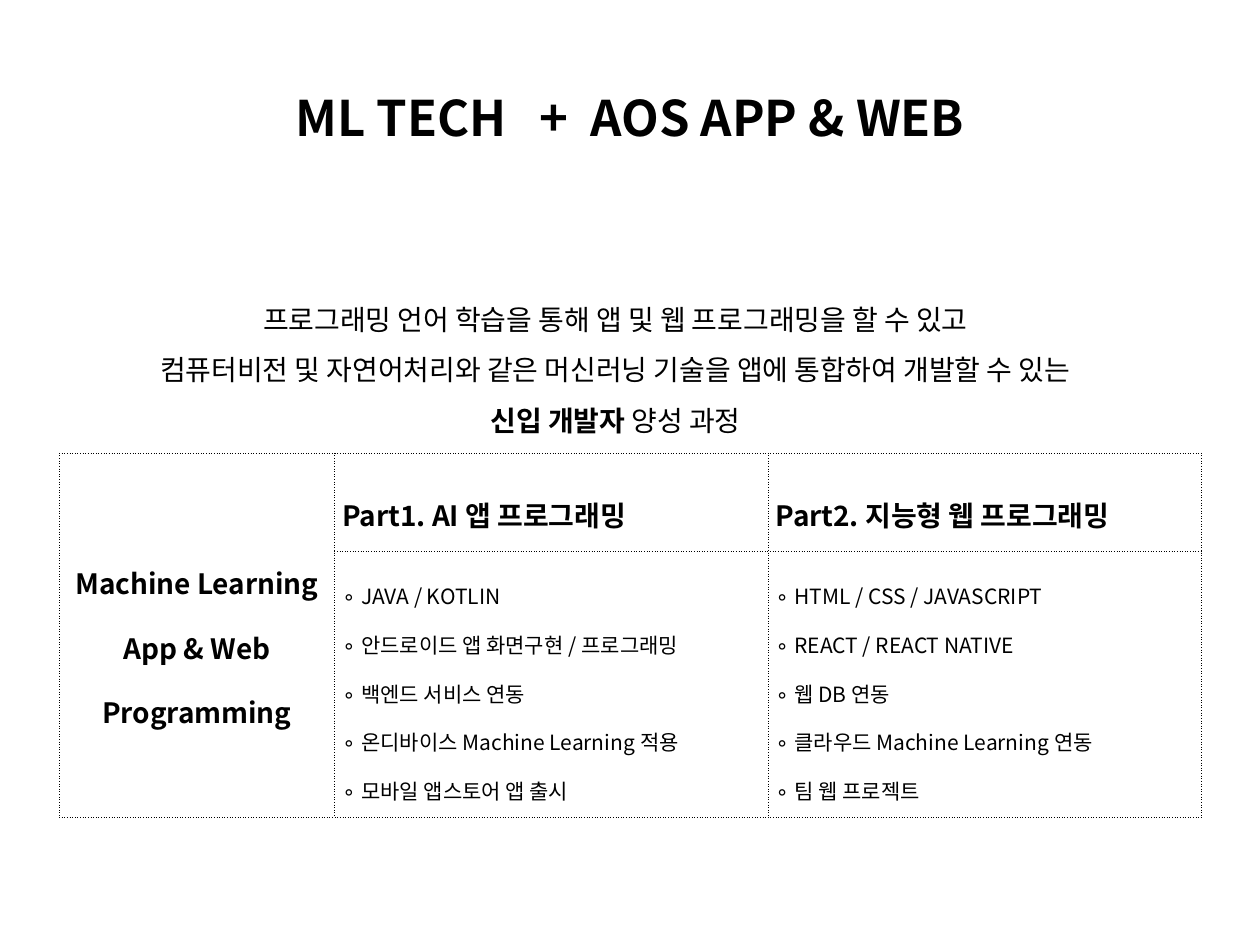
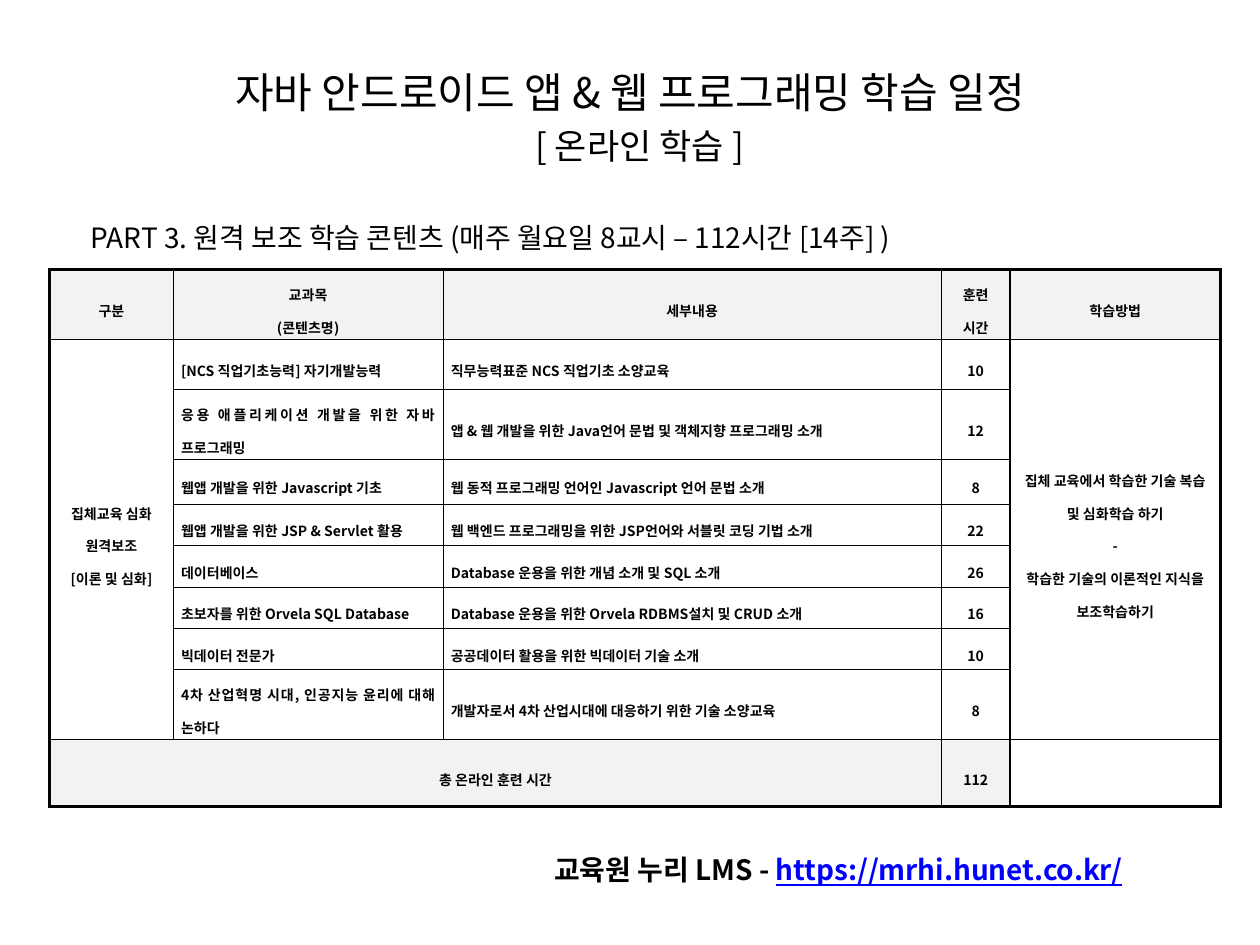
import pptx
import pptx.dml.color
import pptx.enum.text
import pptx.oxml.ns
import pptx.util
from lxml import etree

Pt = pptx.util.Pt
ALIGN = pptx.enum.text.PP_ALIGN
ANCHOR = pptx.enum.text.MSO_ANCHOR
qn = pptx.oxml.ns.qn

# Shared style
FONT = "Noto Sans CJK KR"
COLORS = {"text": "000000", "border": "000000", "shade": "F2F2F2", "link": "0000FF"}
THIN, THICK = 0.28, 1.7
TABLE_LINE_SPACING = 1.6
TITLE_BOX = (36, 21.6, 648, 90)

# Course overview
OVERVIEW_TITLE = [("ML TECH", {}), (" ", {"spacing": 12.5}), ("+", {}),
                  (" ", {"spacing": 6.3}), ("AOS APP & WEB", {})]
OVERVIEW_LINES = [
    "프로그래밍 언어 학습을 통해 앱 및 웹 프로그래밍을 할 수 있고",
    "컴퓨터비전 및 자연어처리와 같은 머신러닝 기술을 앱에 통합하여 개발할 수 있는",
    [("신입 개발자", {"bold": True}), (" 양성 과정", {})],
]
COURSE_NAME = ["Machine Learning", "App & Web", "Programming"]
COURSE_PARTS = [
    ("Part1. AI 앱 프로그래밍",
     ["JAVA / KOTLIN", "안드로이드 앱 화면구현 / 프로그래밍", "백엔드 서비스 연동",
      "온디바이스 Machine Learning 적용", "모바일 앱스토어 앱 출시"]),
    ("Part2. 지능형 웹 프로그래밍",
     ["HTML / CSS / JAVASCRIPT", "REACT / REACT NATIVE", "웹 DB 연동",
      "클라우드 Machine Learning 연동", "팀 웹 프로젝트"]),
]

# Online schedule
SCHEDULE_TITLE = ["자바 안드로이드 앱 & 웹 프로그래밍 학습 일정",
                  [("[ 온라인 학습 ]", {"size": 20})]]
SCHEDULE_HEADER = [["구분"], ["교과목", "(콘텐츠명)"], ["세부내용"], ["훈련", "시간"], ["학습방법"]]
SCHEDULE_GROUP = ["집체교육 심화 원격보조", "[이론 및 심화]"]
SCHEDULE_METHOD = ["집체 교육에서 학습한 기술 복습 및 심화학습 하기", "-",
                   "학습한 기술의 이론적인 지식을 보조학습하기"]
SUBJECTS = [
    ("[NCS 직업기초능력] 자기개발능력", "직무능력표준 NCS 직업기초 소양교육", 10),
    ("응용 애플리케이션 개발을 위한 자바 프로그래밍",
     "앱 & 웹 개발을 위한 Java언어 문법 및 객체지향 프로그래밍 소개", 12),
    ("웹앱 개발을 위한 Javascript 기초",
     "웹 동적 프로그래밍 언어인 Javascript 언어 문법 소개", 8),
    ("웹앱 개발을 위한 JSP & Servlet 활용",
     "웹 백엔드 프로그래밍을 위한 JSP언어와 서블릿 코딩 기법 소개", 22),
    ("데이터베이스", "Database 운용을 위한 개념 소개 및 SQL 소개", 26),
    ("초보자를 위한 Orvela SQL Database",
     "Database 운용을 위한 Orvela RDBMS설치 및 CRUD 소개", 16),
    ("빅데이터 전문가", "공공데이터 활용을 위한 빅데이터 기술 소개", 10),
    ("4차 산업혁명 시대, 인공지능 윤리에 대해 논하다",
     "개발자로서 4차 산업시대에 대응하기 위한 기술 소양교육", 8),
]


def format_run(run, size, bold=False, color="text", underline=False, spacing=0):
    font = run.font
    font.size = Pt(size)
    font.bold = bold
    font.underline = underline
    font.color.rgb = pptx.dml.color.RGBColor.from_string(COLORS[color])
    font.name = FONT
    properties = run._r.get_or_add_rPr()
    etree.SubElement(properties, qn("a:ea"), typeface=FONT)
    if spacing:
        properties.set("spc", str(round(spacing * 100)))


def add_bullet(paragraph, indent=10.8):
    properties = paragraph._p.get_or_add_pPr()
    properties.set("marL", str(Pt(indent)))
    properties.set("indent", str(-Pt(indent)))
    etree.SubElement(properties, qn("a:buFont"), typeface=FONT)
    etree.SubElement(properties, qn("a:buChar"), char="∘")


def write_text(text_frame, lines, align=ALIGN.LEFT, line_spacing=None, bullet=False, **run_format):
    """Each line is a string or a list of (text, format changes)."""
    for index, line in enumerate(lines):
        paragraph = text_frame.add_paragraph() if index else text_frame.paragraphs[0]
        paragraph.alignment = align
        if line_spacing:
            paragraph.line_spacing = line_spacing
        if bullet:
            add_bullet(paragraph)
        for text, changes in [(line, {})] if isinstance(line, str) else line:
            run = paragraph.add_run()
            run.text = text
            format_run(run, **{**run_format, **changes})


def add_titled_slide(presentation, lines, **text_format):
    slide = presentation.slides.add_slide(presentation.slide_layouts[5])
    title = slide.shapes.title
    title.left, title.top, title.width, title.height = map(Pt, TITLE_BOX)
    title.text_frame.vertical_anchor = ANCHOR.MIDDLE
    title.text_frame.auto_size = pptx.enum.text.MSO_AUTO_SIZE.NONE
    write_text(title.text_frame, lines, align=ALIGN.CENTER, **text_format)
    # A subtitle line stands a little apart and to the right
    for paragraph in title.text_frame.paragraphs[1:]:
        paragraph.space_before = Pt(4.6)
        paragraph._p.get_or_add_pPr().set("marL", str(Pt(11)))
    return slide


def add_text_box(slide, box, lines, **text_format):
    text_frame = slide.shapes.add_textbox(*map(Pt, box)).text_frame
    text_frame.word_wrap = True
    write_text(text_frame, lines, **text_format)


def add_plain_table(slide, left, top, widths, heights):
    frame = slide.shapes.add_table(len(heights), len(widths), Pt(left), Pt(top),
                                   Pt(sum(widths)), Pt(sum(heights)))
    table = frame.table
    table.first_row = table.horz_banding = False
    for column, width in zip(table.columns, widths):
        column.width = Pt(width)
    for row, height in zip(table.rows, heights):
        row.height = Pt(height)
    for cell in table.iter_cells():
        cell.vertical_anchor = ANCHOR.MIDDLE
        cell.margin_left = cell.margin_right = Pt(4.5)
        cell.margin_top = cell.margin_bottom = Pt(1.4)
    return table


def set_borders(cell, left=THIN, right=THIN, top=THIN, bottom=THIN, dash="solid"):
    properties = cell._tc.get_or_add_tcPr()
    for side, width in zip("LRTB", (left, right, top, bottom)):
        line = etree.SubElement(properties, qn(f"a:ln{side}"), w=str(Pt(width)))
        fill = etree.SubElement(line, qn("a:solidFill"))
        etree.SubElement(fill, qn("a:srgbClr"), val=COLORS["border"])
        etree.SubElement(line, qn("a:prstDash"), val=dash)


def fill_cell(cell, color=None):
    if color:
        cell.fill.solid()
        cell.fill.fore_color.rgb = pptx.dml.color.RGBColor.from_string(COLORS[color])
    else:
        cell.fill.background()


def write_cell(cell, lines, align=ALIGN.CENTER, **text_format):
    write_text(cell.text_frame, lines, align=align,
               line_spacing=TABLE_LINE_SPACING, **text_format)


def add_course_table(slide):
    table = add_plain_table(slide, 33.84, 258.9, [157.3, 247.6, 247.6], [56, 152])
    for cell in table.iter_cells():
        set_borders(cell, dash="dot")
        fill_cell(cell)
    table.cell(0, 0).merge(table.cell(1, 0))
    write_cell(table.cell(0, 0), COURSE_NAME, size=16, bold=True)
    for column, (heading, topics) in enumerate(COURSE_PARTS, start=1):
        write_cell(table.cell(0, column), [heading], align=ALIGN.JUSTIFY, size=16, bold=True)
        write_cell(table.cell(1, column), topics, align=ALIGN.JUSTIFY, size=12, bullet=True)


def add_schedule_table(slide):
    widths = [70.6, 154.2, 284.8, 39.2, 120.4]
    heights = [40, 28.6, 39.6, 25.7, 23.6, 23.8, 23.8, 23.6, 40, 38.3]
    table = add_plain_table(slide, 28.4, 154.1, widths, heights)
    last_row, last_column = len(heights) - 1, len(widths) - 1

    # Thick outer frame, and a thick line before the method column
    for row in range(len(heights)):
        for column in range(len(widths)):
            cell = table.cell(row, column)
            set_borders(cell,
                        left=THICK if column in (0, last_column) else THIN,
                        right=THICK if column >= last_column - 1 else THIN,
                        top=THICK if row == 0 else THIN,
                        bottom=THICK if row == last_row else THIN)
            shaded = row == 0 or (row == last_row and column < last_column)
            fill_cell(cell, "shade" if shaded else None)

    # Merged areas
    for column in (0, last_column):
        table.cell(1, column).merge(table.cell(last_row - 1, column))
    table.cell(last_row, 0).merge(table.cell(last_row, 2))

    # Contents
    style = {"size": 8, "bold": True}
    for column, lines in enumerate(SCHEDULE_HEADER):
        write_cell(table.cell(0, column), lines, **style)
    write_cell(table.cell(1, 0), SCHEDULE_GROUP, **style)
    write_cell(table.cell(1, last_column), SCHEDULE_METHOD, **style)
    for row, (subject, detail, hours) in enumerate(SUBJECTS, start=1):
        write_cell(table.cell(row, 1), [subject], align=ALIGN.JUSTIFY, **style)
        write_cell(table.cell(row, 2), [detail], align=ALIGN.JUSTIFY, **style)
        write_cell(table.cell(row, 3), [str(hours)], **style)
    total_hours = sum(hours for _, _, hours in SUBJECTS)
    write_cell(table.cell(last_row, 0), ["총 온라인 훈련 시간"], **style)
    write_cell(table.cell(last_row, 3), [str(total_hours)], **style)


def main():
    presentation = pptx.Presentation()
    presentation.slide_width, presentation.slide_height = Pt(720), Pt(540)

    # Slide 1: course overview
    overview = add_titled_slide(presentation, [OVERVIEW_TITLE], size=28, bold=True)
    add_text_box(overview, (33.84, 159.8, 635.8, 90.7), OVERVIEW_LINES,
                 align=ALIGN.CENTER, line_spacing=1.5, size=16)
    add_course_table(overview)

    # Slide 2: online learning schedule
    schedule = add_titled_slide(presentation, SCHEDULE_TITLE, size=24)
    add_text_box(schedule, (44.9, 122.4, 624.2, 34.6),
                 ["PART 3. 원격 보조 학습 콘텐츠 (매주 월요일 8교시 – 112시간 [14주] )"], size=16)
    add_schedule_table(schedule)
    add_text_box(schedule, (309.6, 483.8, 354.2, 34.6),
                 [[("교육원 누리 LMS - ", {}),
                   ("https://mrhi.hunet.co.kr/", {"color": "link", "underline": True})]],
                 size=16, bold=True)

    presentation.save("out.pptx")


if __name__ == "__main__":
    main()
